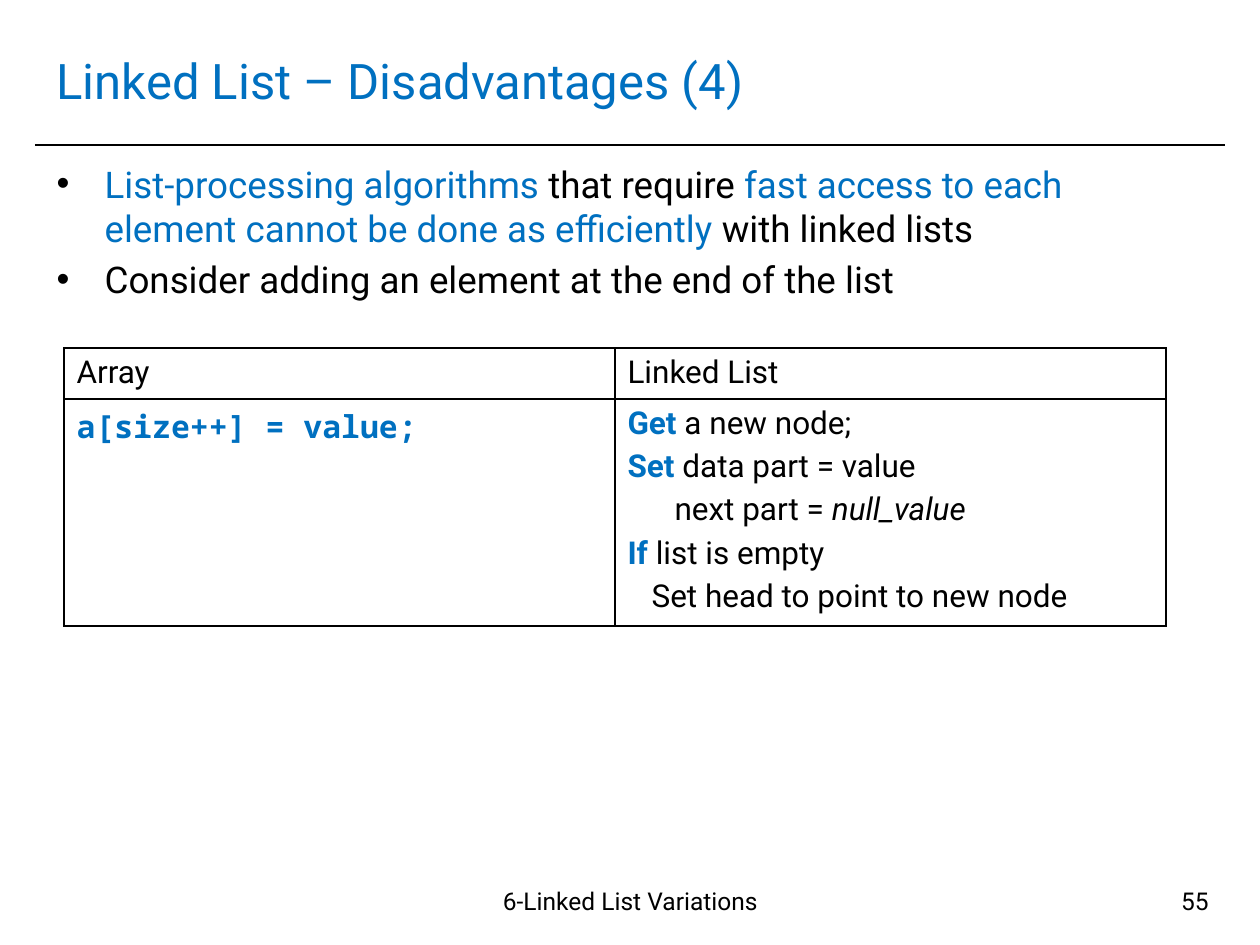
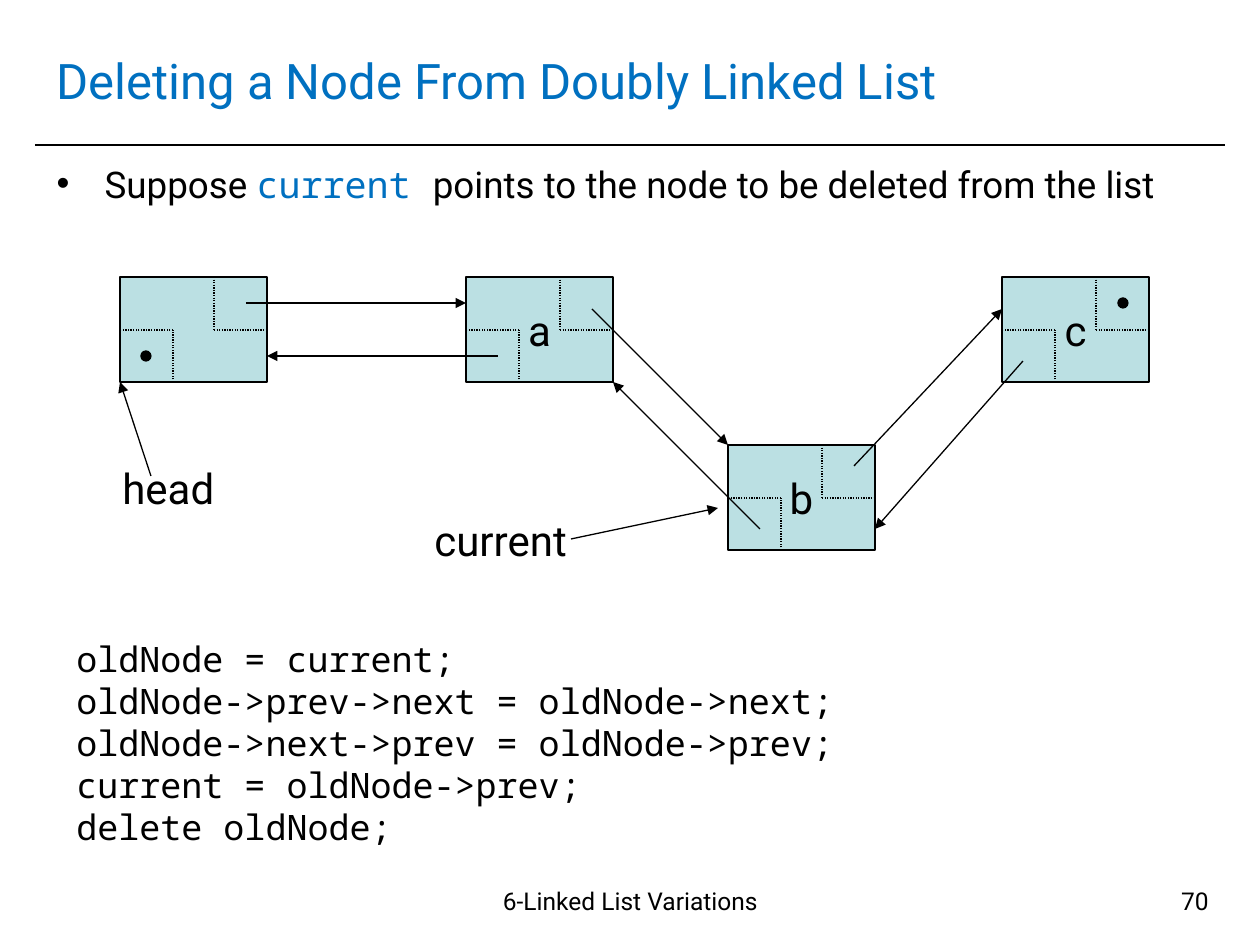
from lxml import etree
from pptx import Presentation
from pptx import util as u
from pptx.dml.color import RGBColor
from pptx.enum import dml, shapes, text
from pptx.oxml import ns

BLACK = RGBColor(0x00, 0x00, 0x00)
WHITE = RGBColor(0xFF, 0xFF, 0xFF)
BLUE = RGBColor(0x00, 0x70, 0xC0)
NODE_FILL = RGBColor(0xBB, 0xE0, 0xE3)
SANS = "Roboto"
MONO = "Noto Sans Mono"

PX = 914400 / 126
FOOTER = "6-Linked List Variations"
FOOTER_BOX = (422, 880, 417, 65)
NUMBER_BOX = (927, 880, 294, 65)
TITLE_BOX = (44, 26, 1171, 107)
RULE = ((35, 145), (1225, 145))
HANGING = 48

KEY = {"color": BLUE, "bold": True}
TINT = {"color": BLUE}

DISADVANTAGES = {
    "title": "Linked List – Disadvantages (4)",
    "number": "55",
    "body_height": 169,
    "bullets": [
        [("List-processing algorithms ", TINT), "that require ",
         ("fast access to each element cannot be done as efficiently ", TINT),
         "with linked lists"],
        ["Consider adding an element at the end of the list"],
    ],
}
DELETING = {
    "title": "Deleting a Node From Doubly Linked List",
    "number": "70",
    "body_height": 79,
    "bullets": [
        ["Suppose ", ("current ", {"color": BLUE, "name": MONO}),
         "points to the node to be deleted from the list"],
    ],
}

TABLE_AT = (64, 348)
COLUMN_WIDTH = 551
ROW_HEIGHTS = (51, 222)
COMPARISON = [
    [[(0, ["Array"])], [(0, ["Linked List"])]],
    [[(0, [("a[size++] = value;", {"color": BLUE, "bold": True, "name": MONO})])],
     [(0, [("Get", KEY), " a new node;"]),
      (0, [("Set ", KEY), "data part = value"]),
      (47, ["next part = ", ("null_value", {"italic": True})]),
      (0, [("If", KEY), " list is empty"]),
      (24, ["Set head to point to new node"])]],
]

NODE_WIDTH, NODE_HEIGHT, POCKET, DOT = 147, 105, 53, 10
NODES = {"head": (120, 277, ""), "a": (466, 277, "a"),
         "c": (1002, 277, "c"), "b": (728, 445, "b")}
NULL_DOTS = [("head", 26, 79), ("c", 121, 26)]
LINKS = [
    (("head", 126, 26), ("a", 0, 26)),
    (("a", 32, 79), ("head", NODE_WIDTH, 79)),
    (("a", 126, 32), ("b", 0, 0)),
    (("b", 32, 84), ("a", NODE_WIDTH, NODE_HEIGHT)),
    (("b", 126, 21), ("c", 0, 32)),
    (("c", 21, 84), ("b", NODE_WIDTH, 84)),
]
POINTERS = [
    ("head", (110, 456, 136, 63), (151, 476), ("head", 0, NODE_HEIGHT)),
    ("current", (422, 508, 159, 63), (571, 539), ("b", -10, 63)),
]
CODE_BOX = (64, 631, 804, 224)
CODE = [
    "oldNode = current;",
    "oldNode->prev->next = oldNode->next;",
    "oldNode->next->prev = oldNode->prev;",
    "current = oldNode->prev;",
    "delete oldNode;",
]


def emu(*lengths):
    return [u.Emu(round(length * PX)) for length in lengths]


def place(shape, box):
    shape.left, shape.top, shape.width, shape.height = emu(*box)


def write(paragraph, runs, size, name=SANS, color=BLACK):
    font = paragraph.font
    font.size, font.name = u.Pt(size), name
    font.color.rgb = color
    for item in runs:
        words, style = (item, {}) if isinstance(item, str) else item
        run = paragraph.add_run()
        run.text = words
        for key, value in style.items():
            if key == "color":
                run.font.color.rgb = value
            else:
                setattr(run.font, key, value)


def paragraphs(frame, count):
    return [frame.paragraphs[0]] + [frame.add_paragraph() for _ in range(count - 1)]


def indent(paragraph, left, first=0):
    properties = paragraph._p.get_or_add_pPr()
    properties.set("marL", str(emu(left)[0]))
    properties.set("indent", str(emu(first)[0]))
    return properties


def add_text(slide, box, lines, size, name=SANS, align=text.PP_ALIGN.LEFT, wrap=True):
    shape = slide.shapes.add_textbox(*emu(*box))
    shape.text_frame.word_wrap = wrap
    for paragraph, line in zip(paragraphs(shape.text_frame, len(lines)), lines):
        paragraph.alignment = align
        write(paragraph, [line], size, name)


def add_line(slide, start, end, width=0.75, dotted=False, arrow=False):
    line = slide.shapes.add_connector(shapes.MSO_CONNECTOR.STRAIGHT, *emu(*start, *end))
    line.line.color.rgb = BLACK
    line.line.width = u.Pt(width)
    if dotted:
        line.line.dash_style = dml.MSO_LINE.ROUND_DOT
    if arrow:
        etree.SubElement(line.line._get_or_add_ln(), ns.qn("a:tailEnd"), type="triangle")
    etree.SubElement(line._element.spPr, ns.qn("a:effectLst"))
    return line


def add_filled(slide, kind, box, color):
    shape = slide.shapes.add_shape(kind, *emu(*box))
    shape.shadow.inherit = False
    shape.fill.solid()
    shape.fill.fore_color.rgb = color
    shape.line.color.rgb = BLACK
    shape.line.width = u.Pt(0.75)
    return shape


def add_slide(presentation, layout, content):
    slide = presentation.slides.add_slide(layout)
    title, body = slide.placeholders
    place(title, TITLE_BOX)
    place(body, (44, 155, 1171, content["body_height"]))
    for placeholder in (title, body):
        placeholder.text_frame.auto_size = text.MSO_AUTO_SIZE.NONE
    title.text_frame.vertical_anchor = text.MSO_ANCHOR.MIDDLE
    heading = title.text_frame.paragraphs[0]
    heading.alignment = text.PP_ALIGN.LEFT
    write(heading, [content["title"]], 28, color=BLUE)

    bullets = content["bullets"]
    for index, paragraph in enumerate(paragraphs(body.text_frame, len(bullets))):
        properties = indent(paragraph, HANGING, -HANGING)
        paragraph.space_before = u.Pt(4.2 if index else 0)
        bullet_color = etree.SubElement(properties, ns.qn("a:buClr"))
        etree.SubElement(bullet_color, ns.qn("a:srgbClr"), val=str(BLACK))
        etree.SubElement(properties, ns.qn("a:buChar"), char="•")
        write(paragraph, bullets[index], 21)

    add_text(slide, FOOTER_BOX, [FOOTER], 14, align=text.PP_ALIGN.CENTER)
    add_text(slide, NUMBER_BOX, [content["number"]], 14, align=text.PP_ALIGN.RIGHT)
    return slide


def format_cell(cell, lines):
    for index, paragraph in enumerate(paragraphs(cell.text_frame, len(lines))):
        left, runs = lines[index]
        indent(paragraph, left)
        paragraph.space_before = u.Pt(3.6 if index else 0)
        write(paragraph, runs, 18)
    properties = cell._tc.get_or_add_tcPr()
    for side in ("lnL", "lnR", "lnT", "lnB"):
        border = etree.SubElement(properties, ns.qn("a:" + side), w=str(u.Pt(1)))
        fill = etree.SubElement(border, ns.qn("a:solidFill"))
        etree.SubElement(fill, ns.qn("a:srgbClr"), val=str(BLACK))
    cell.fill.solid()
    cell.fill.fore_color.rgb = WHITE


def add_comparison(slide):
    size = (COLUMN_WIDTH * 2, sum(ROW_HEIGHTS))
    table = slide.shapes.add_table(2, 2, *emu(*TABLE_AT, *size)).table
    table.first_row = table.horz_banding = False
    for column in table.columns:
        column.width = emu(COLUMN_WIDTH)[0]
    for row, height, contents in zip(table.rows, ROW_HEIGHTS, COMPARISON):
        row.height = emu(height)[0]
        for cell, lines in zip(row.cells, contents):
            format_cell(cell, lines)


def node_point(node, across, down):
    left, top, _ = NODES[node]
    return left + across, top + down


def add_node(slide, left, top, label):
    box = (left, top, NODE_WIDTH, NODE_HEIGHT)
    node = add_filled(slide, shapes.MSO_SHAPE.RECTANGLE, box, NODE_FILL)
    if label:
        frame = node.text_frame
        frame.word_wrap = False
        frame.vertical_anchor = text.MSO_ANCHOR.MIDDLE
        frame.paragraphs[0].alignment = text.PP_ALIGN.CENTER
        write(frame.paragraphs[0], [label], 24)
    right, bottom, middle = left + NODE_WIDTH, top + NODE_HEIGHT, top + POCKET
    for inner, edge, outer in ((right - POCKET, top, right), (left + POCKET, bottom, left)):
        add_line(slide, (inner, edge), (inner, middle), dotted=True)
        add_line(slide, (inner, middle), (outer, middle), dotted=True)


def add_list_diagram(slide):
    for left, top, label in NODES.values():
        add_node(slide, left, top, label)
    for dot in NULL_DOTS:
        x, y = node_point(*dot)
        box = (x - DOT / 2, y - DOT / 2, DOT, DOT)
        add_filled(slide, shapes.MSO_SHAPE.OVAL, box, BLACK)
    for start, end in LINKS:
        add_line(slide, node_point(*start), node_point(*end), arrow=True)
    for label, box, start, end in POINTERS:
        add_text(slide, box, [label], 24, wrap=False)
        add_line(slide, start, node_point(*end), arrow=True)


def main():
    presentation = Presentation()
    presentation.slide_width, presentation.slide_height = u.Inches(10), u.Inches(7.5)
    layout = presentation.slide_layouts[1]

    disadvantages = add_slide(presentation, layout, DISADVANTAGES)
    add_comparison(disadvantages)
    rule = add_line(disadvantages, *RULE, width=1)
    layout.shapes.element.append(rule._element)

    deleting = add_slide(presentation, layout, DELETING)
    add_list_diagram(deleting)
    add_text(deleting, CODE_BOX, CODE, 20, MONO)

    presentation.save("out.pptx")


if __name__ == "__main__":
    main()
